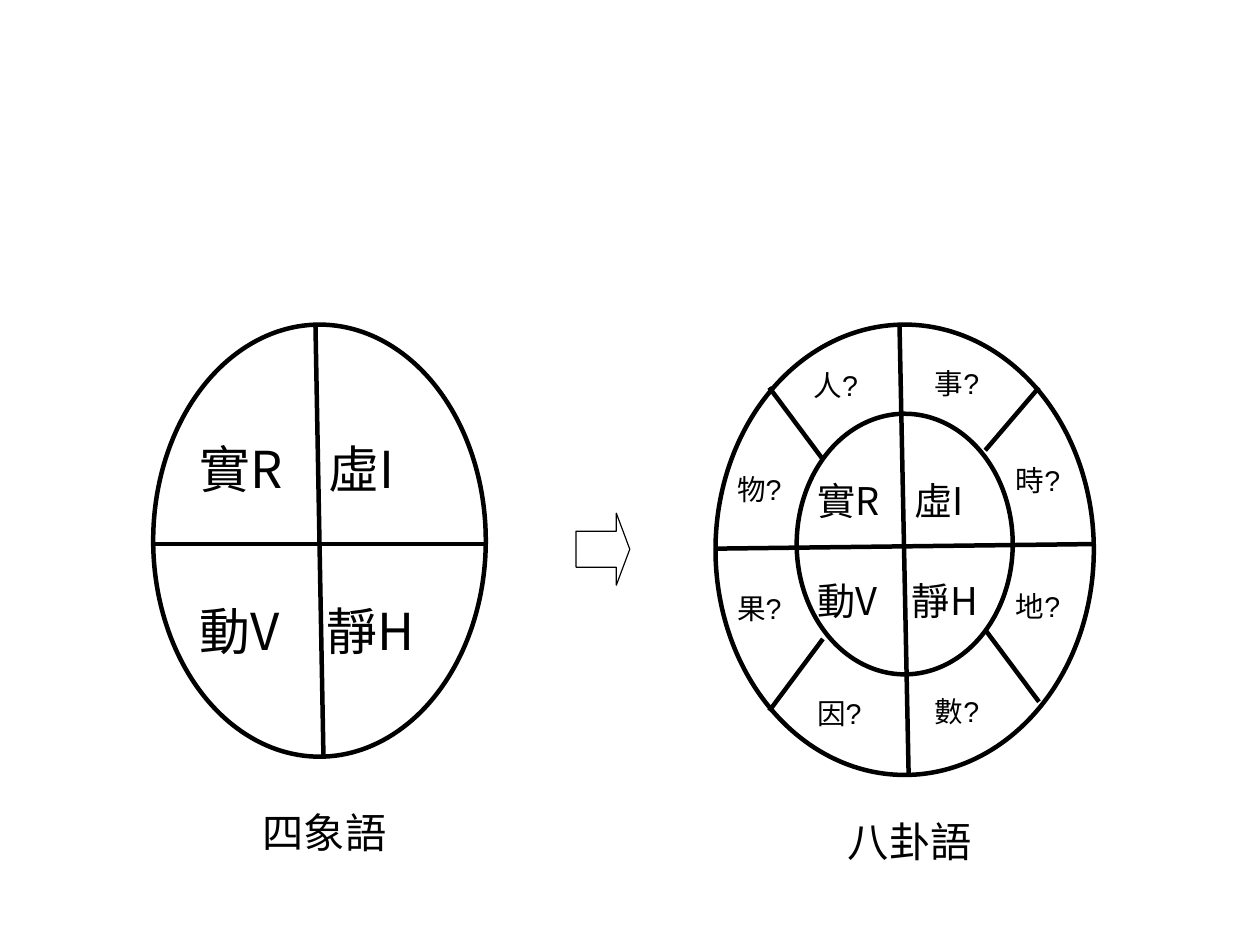
from lxml.etree import SubElement
from pptx import Presentation
from pptx.dml.color import RGBColor
from pptx.enum.shapes import MSO_CONNECTOR, MSO_SHAPE
from pptx.enum.text import MSO_AUTO_SIZE
from pptx.oxml.ns import qn
from pptx.util import Inches, Pt

COLORS = {"ink": "000000"}
CJK_FONT = "Noto Sans CJK SC"
LABEL_FONT = "Arial"
LINE_WIDTH = 2.83
CM_PER_INCH = 2.54
INK = RGBColor.from_string(COLORS["ink"])


def add_outline(slide, kind, left, top, width, height, line_width=LINE_WIDTH):
    """Add an unfilled preset shape."""
    shape = slide.shapes.add_shape(
        kind, Inches(left), Inches(top), Inches(width), Inches(height))
    shape.shadow.inherit = False
    shape.fill.background()
    shape.line.color.rgb = INK
    shape.line.width = Pt(line_width)
    return shape


def add_spoke(slide, start, end):
    connector = slide.shapes.add_connector(
        MSO_CONNECTOR.STRAIGHT, *(Inches(value) for value in (*start, *end)))
    connector.line.color.rgb = INK
    connector.line.width = Pt(LINE_WIDTH)
    SubElement(connector._element.spPr, qn("a:effectLst"))


def add_text(slide, text, box, size, font=CJK_FONT, tab=None):
    """Add one line of text; tab is the distance to its second column."""
    shape = slide.shapes.add_textbox(*(Inches(value) for value in box))
    frame = shape.text_frame
    frame.word_wrap = tab is not None
    frame.auto_size = MSO_AUTO_SIZE.SHAPE_TO_FIT_TEXT
    paragraph = frame.paragraphs[0]
    paragraph.text = text
    properties = paragraph._p.get_or_add_pPr()
    if tab:
        tabs = SubElement(properties, qn("a:tabLst"))
        SubElement(tabs, qn("a:tab"), pos=str(Inches(tab)), algn="l")
    paragraph.font.size = Pt(size)
    paragraph.font.name = font
    paragraph.font.color.rgb = INK
    SubElement(properties.find(qn("a:defRPr")), qn("a:ea"), typeface=CJK_FONT)


def add_quadrant_names(slide, left, tops, width, height, size, tabs):
    for text, top, tab in zip(("實R\t虛I", "動V\t靜H"), tops, tabs):
        add_text(slide, text, (left, top, width, height), size, tab=tab)


def add_four_part_wheel(slide, left, top, width, height):
    add_outline(slide, MSO_SHAPE.OVAL, left, top, width, height)
    add_spoke(slide, (left, top + 1.92), (left + width, top + 1.92))
    add_spoke(slide, (left + 1.42, top), (left + 1.49, top + height))
    add_quadrant_names(slide, left + 0.31, (top + 0.94, top + 2.36),
                       2.52, 0.74, 32, (1.13, 1.11))
    add_text(slide, "四象語", (left + 0.86, top + 4.17, 1.29, 0.63), 26)


def add_eight_part_wheel(slide, left, top, width, height):
    add_outline(slide, MSO_SHAPE.OVAL, left + 0.71, top + 0.78, 1.89, 2.28)
    add_outline(slide, MSO_SHAPE.OVAL, left, top, width, height)
    spokes = (
        ((0, 1.96), (width, 1.92)),
        ((1.61, 0), (1.69, height)),
        ((2.83, 0.55), (2.36, 1.1)),
        ((2.83, 3.3), (2.36, 2.67)),
        ((0.47, 3.38), (0.94, 2.75)),
        ((0.47, 0.55), (0.94, 1.18)),
    )
    for spoke in spokes:
        add_spoke(slide, *((left + x, top + y) for x, y in spoke))
    add_quadrant_names(slide, left + 0.79, (top + 1.29, top + 2.16),
                       2.05, 0.63, 24, (0.85, 0.83))
    questions = (
        ("人?", 0.76, 0.33), ("事?", 1.82, 0.31),
        ("時?", 2.53, 1.16), ("地?", 2.53, 2.26),
        ("數?", 1.82, 3.18), ("因?", 0.79, 3.2),
        ("果?", 0.09, 2.28), ("物?", 0.09, 1.24),
    )
    for text, x, y in questions:
        add_text(slide, text, (left + x, top + y, 0.66, 0.46), 18, LABEL_FONT)
    add_text(slide, "八卦語", (left + 1.06, top + 4.25, 1.29, 0.63), 26)


def add_step_arrow(slide, left, top, width, height):
    arrow = add_outline(slide, MSO_SHAPE.RIGHT_ARROW,
                        left, top, width, height, line_width=0)
    arrow.adjustments[0] = 0.5
    arrow.adjustments[1] = 0.25


def main():
    presentation = Presentation()
    presentation.slide_width = Inches(28 / CM_PER_INCH)
    presentation.slide_height = Inches(21 / CM_PER_INCH)
    slide = presentation.slides.add_slide(presentation.slide_layouts[6])
    add_four_part_wheel(slide, 1.34, 2.84, 2.91, 3.78)
    add_step_arrow(slide, 5.04, 4.49, 0.47, 0.63)
    add_eight_part_wheel(slide, 6.26, 2.84, 3.31, 3.94)
    presentation.save("out.pptx")


if __name__ == "__main__":
    main()
